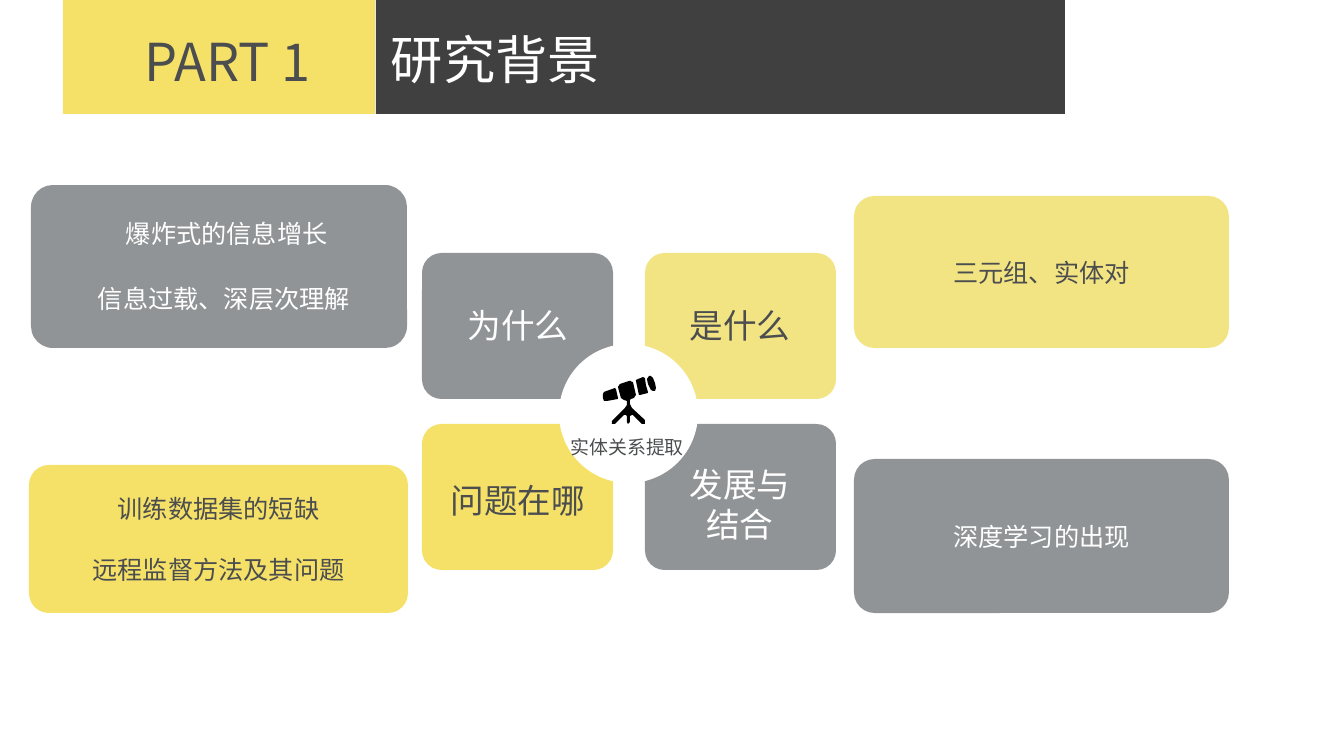
from lxml import etree
from pptx import Presentation
from pptx.dml.color import RGBColor
from pptx.enum.shapes import MSO_SHAPE
from pptx.enum.text import MSO_ANCHOR, MSO_AUTO_SIZE, PP_ALIGN
from pptx.oxml.ns import qn
from pptx.util import Pt

EMU_PER_PX = 914400 / 100.8
RECTANGLE = MSO_SHAPE.RECTANGLE
ROUNDED = MSO_SHAPE.ROUNDED_RECTANGLE
OVAL = MSO_SHAPE.OVAL
LEFT, CENTER = PP_ALIGN.LEFT, PP_ALIGN.CENTER
MIDDLE = MSO_ANCHOR.MIDDLE
GROW = MSO_AUTO_SIZE.SHAPE_TO_FIT_TEXT

CJK_FONT = "Noto Sans CJK SC"
COLORS = {
    "yellow": "F5E168",
    "pale": "F3E483",
    "gray": "767A7D",
    "charcoal": "404040",
    "ink": "4B4D4F",
    "white": "FFFFFF",
    "black": "000000",
}
GRAY_OPACITY = 80

QUADRANT_SIZE = (191, 146)
QUADRANTS = [
    (422, 253, "gray"),
    (645, 253, "pale"),
    (645, 424, "gray"),
    (422, 424, "yellow"),
]
QUADRANT_LABELS = [
    ((457, 300, 122, 50), "为什么", "white"),
    ((679, 300, 122, 50), "是什么", "ink"),
    ((434, 475, 168, 50), "问题在哪", "ink"),
    ((679, 459, 122, 92), "发展与结合", "white"),
]
DETAIL_CARDS = [
    ((854, 196, 375, 152), "pale", ["三元组、实体对"], "ink"),
    ((29, 465, 379, 148), "yellow", ["训练数据集的短缺", "远程监督方法及其问题"], "ink"),
    ((854, 459, 375, 154), "gray", ["深度学习的出现"], "white"),
]
TELESCOPE = {
    "barrel": [(643, 377), (636, 380), (636, 381), (639, 395), (640, 395),
               (648, 393), (648, 392), (646, 385), (645, 378)],
    "lens": [(651, 376), (649, 376), (647, 379), (648, 384), (651, 390),
             (653, 391), (655, 391), (656, 388), (655, 383), (653, 378)],
    "eyepiece": [(607, 401), (618, 399), (618, 398), (616, 389), (615, 388),
                 (604, 392), (603, 394), (603, 398), (604, 401)],
    "tripod": [(642, 424), (645, 424), (645, 420), (632, 408), (630, 404),
               (630, 400), (631, 399), (634, 398), (636, 395), (633, 382),
               (632, 382), (631, 381), (629, 381), (620, 384), (618, 387),
               (621, 398), (624, 400), (627, 401), (627, 405), (625, 408),
               (612, 421), (612, 424), (615, 424), (624, 415), (626, 415),
               (627, 416), (627, 422), (628, 424), (630, 422), (630, 416),
               (632, 415), (633, 415)],
}


def px(length):
    return round(length * EMU_PER_PX)


def rgb(color):
    return RGBColor.from_string(COLORS[color])


def paint(shape, color):
    """Flat fill without outline or shadow; gray is translucent."""
    shape.shadow.inherit = False
    shape.line.fill.background()
    shape.fill.solid()
    shape.fill.fore_color.rgb = rgb(color)
    if color == "gray":
        color_element = shape.fill._xPr.find(".//" + qn("a:srgbClr"))
        alpha = etree.SubElement(color_element, qn("a:alpha"))
        alpha.set("val", str(GRAY_OPACITY * 1000))


def add_block(slide, kind, box, color):
    shape = slide.shapes.add_shape(kind, *map(px, box))
    if kind == ROUNDED:
        shape.adjustments[0] = 0.134
    paint(shape, color)
    return shape


def write(frame, lines, size, color, align=CENTER, font=CJK_FONT, spacing=None, gap=0):
    for index, line in enumerate(lines):
        paragraph = frame.add_paragraph() if index else frame.paragraphs[0]
        paragraph.text = line
        paragraph.alignment = align
        if spacing:
            paragraph.line_spacing = spacing
        if index:
            paragraph.space_before = Pt(gap)
        paragraph.font.size = Pt(size)
        paragraph.font.name = font
        paragraph.font.color.rgb = rgb(color)
        defaults = paragraph._p.pPr.find(qn("a:defRPr"))
        etree.SubElement(defaults, qn("a:ea")).set("typeface", CJK_FONT)


def add_label(slide, box, text, size, color, wrap=True, **style):
    frame = slide.shapes.add_textbox(*map(px, box)).text_frame
    frame.word_wrap = wrap
    frame.auto_size = GROW
    write(frame, [text], size, color, **style)


def add_card(slide, box, fill, lines, color):
    frame = add_block(slide, ROUNDED, box, fill).text_frame
    frame.word_wrap = True
    frame.vertical_anchor = MIDDLE
    write(frame, lines, 18, color, gap=22)


def add_outline(slide, points, color):
    builder = slide.shapes.build_freeform(*points[0], scale=EMU_PER_PX)
    builder.add_line_segments(points[1:], close=True)
    paint(builder.convert_to_shape(), color)


def add_header(slide):
    add_block(slide, RECTANGLE, (376, 0, 689, 114), "charcoal")
    add_block(slide, RECTANGLE, (63, 0, 312, 114), "yellow")
    add_label(slide, (62, 6, 331, 85), "PART 1", 37.3, "ink", spacing=1.3)
    add_label(slide, (381, 4, 232, 85), "研究背景", 37.3, "white",
              wrap=False, align=LEFT, spacing=1.3)


def add_hub(slide):
    """Four quadrants around the central telescope disc."""
    for left, top, color in QUADRANTS:
        add_block(slide, ROUNDED, (left, top, *QUADRANT_SIZE), color)
    add_block(slide, OVAL, (559, 344, 139, 139), "white")
    for points in TELESCOPE.values():
        add_outline(slide, points, "black")
    add_label(slide, (561, 431, 135, 33), "实体关系提取", 13.5, "ink",
              wrap=False, align=LEFT)
    for box, text, color in QUADRANT_LABELS:
        add_label(slide, box, text, 24, color)


def main():
    presentation = Presentation()
    presentation.slide_width = px(1344)
    presentation.slide_height = px(756)
    slide = presentation.slides.add_slide(presentation.slide_layouts[6])

    add_block(slide, ROUNDED, (31, 185, 376, 163), "gray")
    add_header(slide)
    add_hub(slide)
    for box, text in [((116, 213, 224, 40), "爆炸式的信息增长"),
                      ((88, 278, 275, 40), "信息过载、深层次理解")]:
        add_label(slide, box, text, 18, "white", wrap=False, align=LEFT, font="Arial")
    for card in DETAIL_CARDS:
        add_card(slide, *card)
    presentation.save("out.pptx")


if __name__ == "__main__":
    main()
